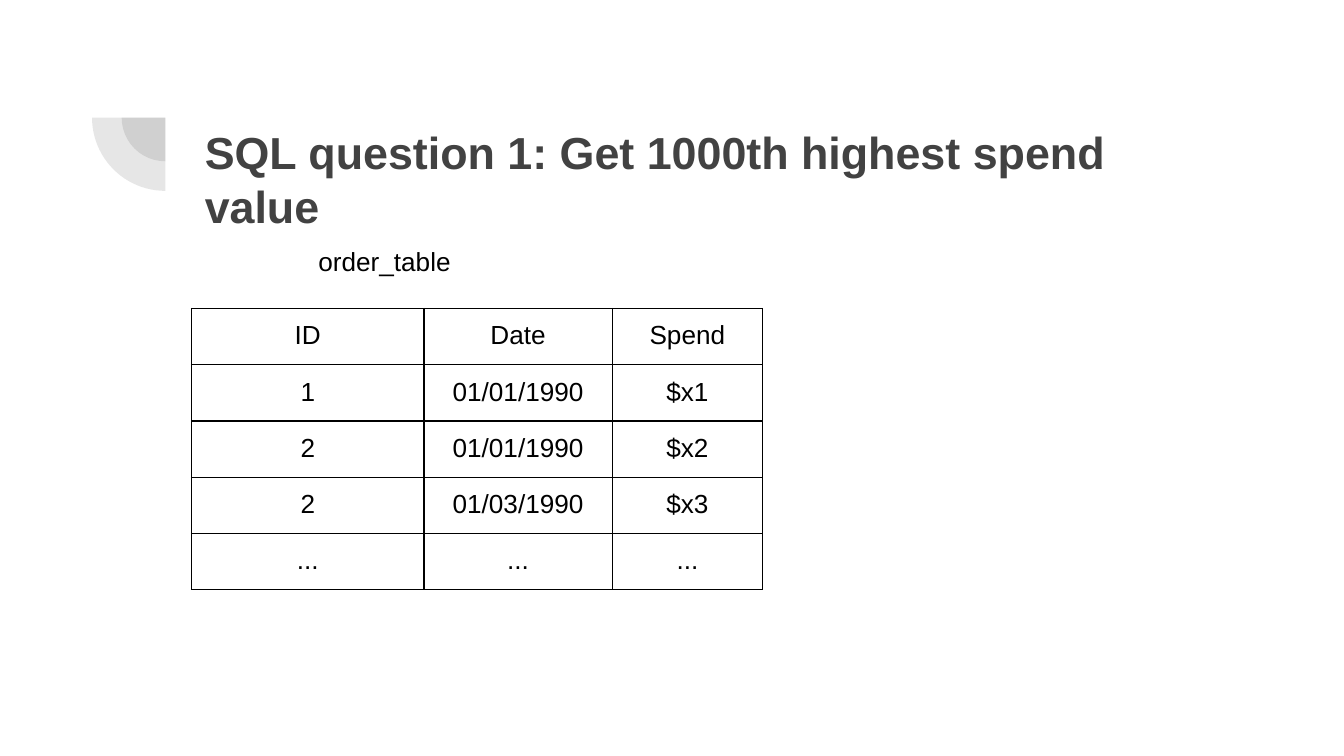
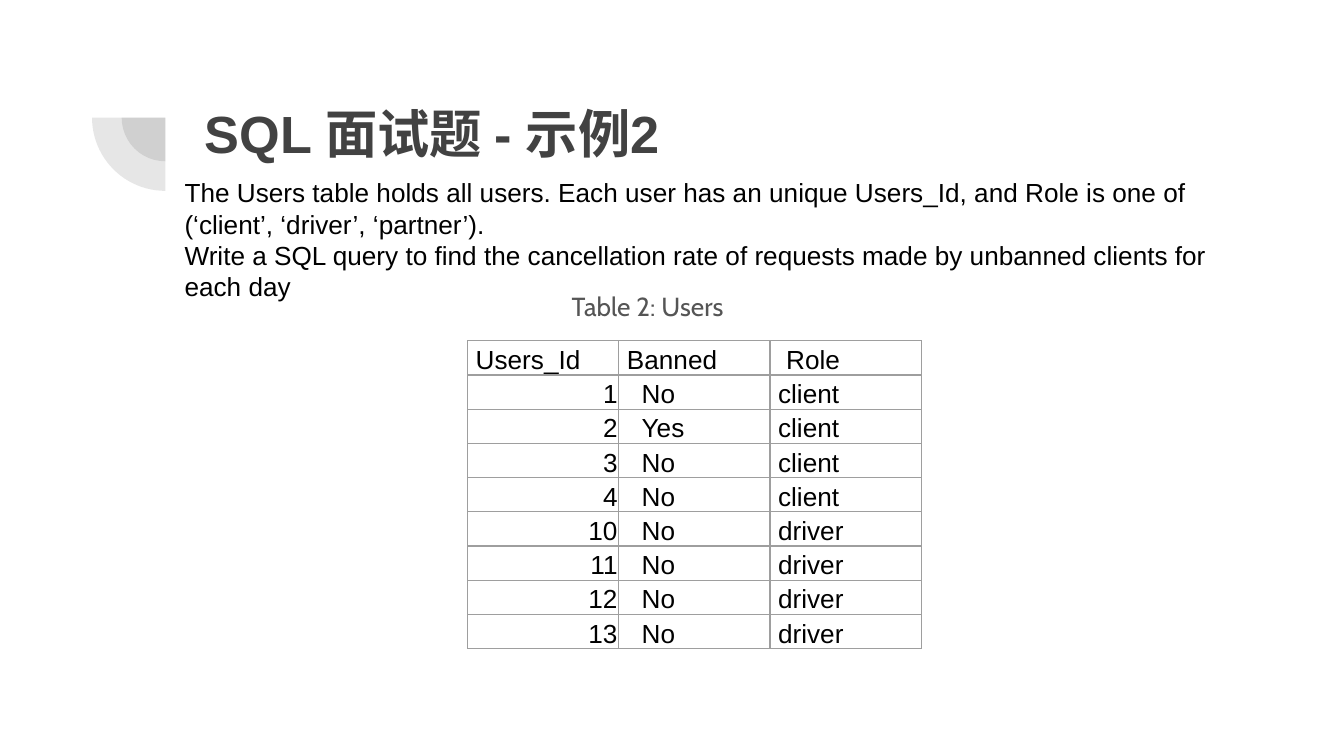
import pptx
import pptx.dml.color
import pptx.enum.shapes
import pptx.enum.text
import pptx.oxml
import pptx.oxml.ns
import pptx.util

RGBColor = pptx.dml.color.RGBColor
ALIGN = pptx.enum.text.PP_ALIGN
ANCHOR = pptx.enum.text.MSO_ANCHOR

WHITE = RGBColor(0xFF, 0xFF, 0xFF)
BLACK = RGBColor(0x00, 0x00, 0x00)
CHARCOAL = RGBColor(0x42, 0x42, 0x42)
CAPTION_GRAY = RGBColor(0x55, 0x55, 0x55)
GRID_GRAY = RGBColor(0x9E, 0x9E, 0x9E)

EMU_PER_PX = 4572  # 200 px to the inch
BODY_SIZE = 14
WIDE_MARGINS = (20, 20, 20, 20)
TEXT_MARGINS = (20, 10, 20, 10)

ORDERS = [
    ("ID", "Date", "Spend"),
    ("1", "01/01/1990", "$x1"),
    ("2", "01/01/1990", "$x2"),
    ("2", "01/03/1990", "$x3"),
    ("...", "...", "..."),
]
USERS = [
    ("Users_Id", "Banned", "Role"),
    ("1", "No", "client"),
    ("2", "Yes", "client"),
    ("3", "No", "client"),
    ("4", "No", "client"),
    ("10", "No", "driver"),
    ("11", "No", "driver"),
    ("12", "No", "driver"),
    ("13", "No", "driver"),
]
USERS_TASK = [
    "The Users table holds all users. Each user has an unique Users_Id, and Role is one of "
    "(‘client’, ‘driver’, ‘partner’).",
    "Write a SQL query to find the cancellation rate of requests made by unbanned clients "
    "for each day",
]


def px(length):
    return pptx.util.Emu(length * EMU_PER_PX)


def px_box(box):
    return [px(length) for length in box]


def set_margins(target, margins):
    """Set left, top, right and bottom margins of a text frame or table cell."""
    for side, length in zip(("left", "top", "right", "bottom"), margins):
        setattr(target, f"margin_{side}", px(length))


def write(para, text, size=BODY_SIZE, color=BLACK, font="Arial", bold=False):
    span = para.add_run()
    span.text = text
    span.font.name = font
    span.font.size = pptx.util.Pt(size)
    span.font.bold = bold
    span.font.color.rgb = color


def add_text(page, box, lines, margins=WIDE_MARGINS, wrap=True, **style):
    frame = page.shapes.add_textbox(*px_box(box)).text_frame
    frame.word_wrap = wrap
    set_margins(frame, margins)
    for index, line in enumerate(lines):
        para = frame.add_paragraph() if index else frame.paragraphs[0]
        write(para, line, **style)


def add_corner_arcs(page, center_x, center_y):
    """Draw two translucent quarter discs around one centre."""
    for radius in (65, 109):
        box = (center_x - radius, center_y - radius, 2 * radius, 2 * radius)
        arc = page.shapes.add_shape(pptx.enum.shapes.MSO_SHAPE.PIE, *px_box(box))
        arc.adjustments[0], arc.adjustments[1] = 108, 162
        arc.rotation = 270
        arc.shadow.inherit = False
        arc.line.fill.background()
        arc.fill.solid()
        arc.fill.fore_color.rgb = CHARCOAL
        color = arc.fill._xPr.find(".//" + pptx.oxml.ns.qn("a:srgbClr"))
        color.append(pptx.oxml.parse_xml(
            f'<a:alpha {pptx.oxml.ns.nsdecls("a")} val="13000"/>'))


def add_page(deck, title, title_box, title_size):
    page = deck.slides.add_slide(deck.slide_layouts[6])
    page.background.fill.solid()
    page.background.fill.fore_color.rgb = WHITE
    add_corner_arcs(page, 246, 175)
    add_text(page, title_box, [title], size=title_size, color=CHARCOAL, bold=True)
    return page


def set_borders(cell, color):
    properties = cell._tc.get_or_add_tcPr()
    for index, side in enumerate(("lnL", "lnR", "lnT", "lnB")):
        properties.insert(index, pptx.oxml.parse_xml(
            f'<a:{side} {pptx.oxml.ns.nsdecls("a")} w="9525"><a:solidFill>'
            f'<a:srgbClr val="{color}"/></a:solidFill></a:{side}>'))


def add_grid(page, left, top, widths, row_height, rows, border, style_cell):
    """Add a plain table; style_cell(cell, row, column) sets margins and alignment."""
    box = (left, top, sum(widths), row_height * len(rows))
    table = page.shapes.add_table(len(rows), len(widths), *px_box(box)).table
    table.first_row = table.horz_banding = False
    for column, width in zip(table.columns, widths):
        column.width = px(width)
    for row_index, values in enumerate(rows):
        table.rows[row_index].height = px(row_height)
        for column_index, value in enumerate(values):
            cell = table.cell(row_index, column_index)
            cell.fill.background()
            set_borders(cell, border)
            write(cell.text_frame.paragraphs[0], value)
            style_cell(cell, row_index, column_index)


def style_order_cell(cell, row, column):
    set_margins(cell, (20, 19, 20, 18))
    cell.text_frame.paragraphs[0].alignment = ALIGN.CENTER


def style_user_cell(cell, row, column):
    left_margins = (2, 34, 12) if row else (12, 12, 24)
    set_margins(cell, (left_margins[column], 2, 2, 0))
    cell.vertical_anchor = ANCHOR.BOTTOM
    is_number = row > 0 and column == 0
    cell.text_frame.paragraphs[0].alignment = ALIGN.RIGHT if is_number else ALIGN.LEFT


def add_orders_page(deck):
    page = add_page(deck, "SQL question 1: Get 1000th highest spend value",
                    (285, 166, 1538, 218), 24)
    add_grid(page, 285, 459, (346, 280, 224), 83, ORDERS, BLACK, style_order_cell)
    add_text(page, (454, 345, 556, 78), ["order_table"])


def add_users_page(deck):
    page = add_page(deck, "SQL 面试题 - 示例2", (285, 130, 1538, 116), 28)
    add_text(page, (831, 422, 290, 68), ["Table 2: Users"], margins=TEXT_MARGINS,
             wrap=False, color=CAPTION_GRAY, font="Cabin")
    add_text(page, (255, 253, 1568, 302), USERS_TASK, margins=TEXT_MARGINS)
    add_grid(page, 696, 507, (225, 225, 225), 51, USERS, GRID_GRAY, style_user_cell)


def main():
    deck = pptx.Presentation()
    deck.slide_width, deck.slide_height = px(2000), px(1125)
    add_orders_page(deck)
    add_users_page(deck)
    deck.save("out.pptx")


if __name__ == "__main__":
    main()
